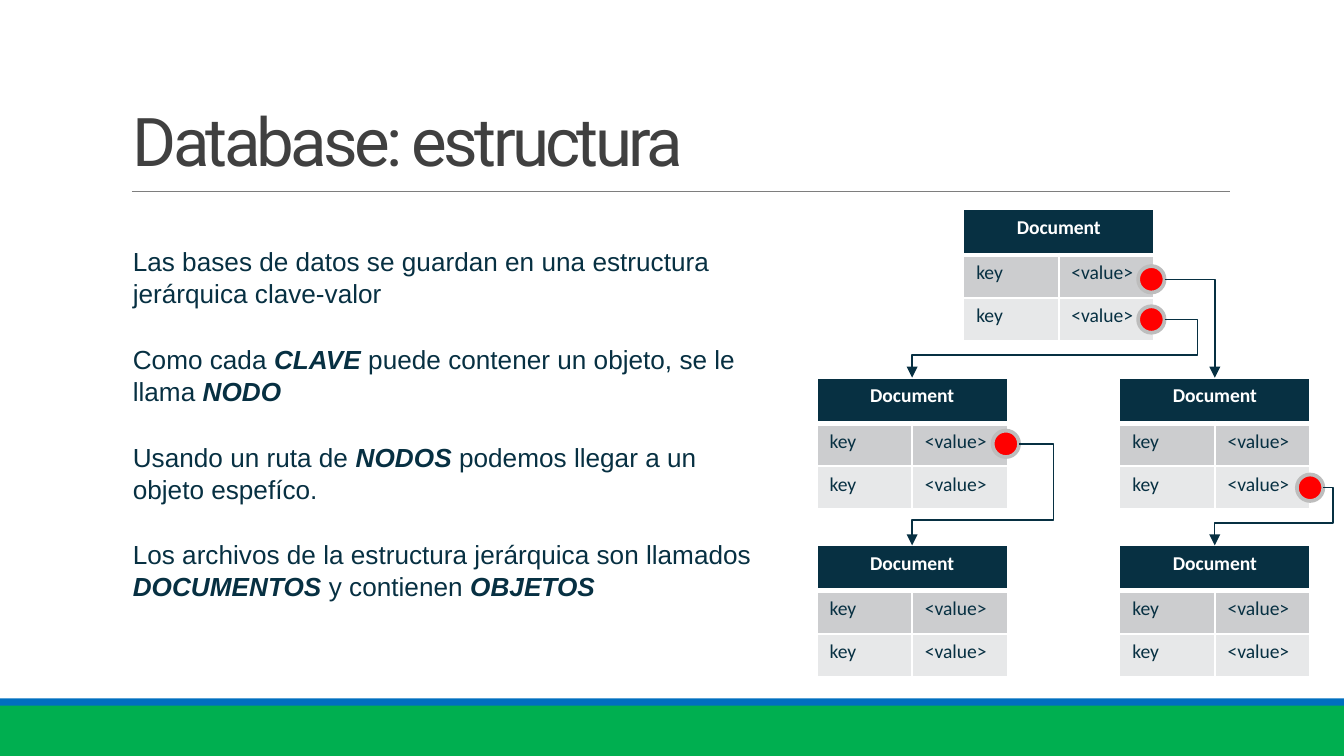
from lxml.etree import SubElement
from pptx import Presentation
from pptx.dml.color import RGBColor
from pptx.enum.shapes import MSO_CONNECTOR, MSO_SHAPE
from pptx.enum.text import MSO_ANCHOR, MSO_AUTO_SIZE, PP_ALIGN
from pptx.oxml.ns import qn
from pptx.util import Cm, Pt

NAVY = RGBColor(0x07, 0x30, 0x42)
WHITE = RGBColor(0xFF, 0xFF, 0xFF)
DARK = RGBColor(0x40, 0x40, 0x40)
RULE = RGBColor(0x7E, 0x7E, 0x7E)
GREEN = RGBColor(0x00, 0xAF, 0x50)
BLUE = RGBColor(0x00, 0x6F, 0xC0)
RED = RGBColor(0xFF, 0x00, 0x00)
RING = RGBColor(0xBD, 0xBD, 0xBD)
GRAY = RGBColor(0xCC, 0xCD, 0xCF)
PALE = RGBColor(0xE7, 0xE8, 0xE9)


def write(para, text, font="Arial", size=14, color=NAVY, bold=False,
          align=PP_ALIGN.LEFT, track=0):
    """Fill a paragraph; parts between asterisks are bold italic."""
    para.alignment = align
    for i, part in enumerate(text.split("*")):
        if part:
            run = para.add_run()
            run.text = part
            run.font.name, run.font.size = font, Pt(size)
            run.font.color.rgb = color
            run.font.bold = bold or i % 2 == 1
            run.font.italic = i % 2 == 1
            if track:
                run.font._element.set("spc", str(track * 100))


def link(start, end, color, width):
    """Add a connector without a shadow between two points in cm."""
    line = slide.shapes.add_connector(
        MSO_CONNECTOR.ELBOW if start[1] != end[1] else MSO_CONNECTOR.STRAIGHT,
        *[Cm(n) for n in (*start, *end)])
    line.line.color.rgb = color
    line.line.width = Pt(width)
    SubElement(line._element.spPr, qn("a:effectLst"))
    return line


deck = Presentation()
deck.slide_width, deck.slide_height = Cm(25.4), Cm(14.29)
slide = deck.slides.add_slide(deck.slide_layouts[1])

# Footer bars and title rule
for top, high, color in [(13.33, 0.96, GREEN), (13.2, 0.14, BLUE)]:
    bar = slide.shapes.add_shape(
        MSO_SHAPE.RECTANGLE, 0, Cm(top), deck.slide_width, Cm(high))
    bar.shadow.inherit = False
    bar.fill.solid()
    bar.fill.fore_color.rgb = color
    bar.line.fill.background()
link((2.49, 3.61), (23.24, 3.61), RULE, 0.48)

# Title and body
title, body = slide.placeholders
for hold, box in [(title, (2.51, 1.85, 11.68, 1.58)),
                  (body, (2.51, 4.6, 12.12, 6.83))]:
    hold.left, hold.top, hold.width, hold.height = [Cm(n) for n in box]
    frame = hold.text_frame
    frame.word_wrap = True
    frame.auto_size = MSO_AUTO_SIZE.NONE
    frame.vertical_anchor = MSO_ANCHOR.TOP
    frame.margin_left = frame.margin_right = frame.margin_bottom = 0
    frame.margin_top = Cm(0.03)
write(title.text_frame.paragraphs[0], "Database: estructura",
      font="Roboto", size=36, color=DARK, track=-2)

points = [
    "Las bases de datos se guardan en una estructura jerárquica clave-valor",
    "Como cada *CLAVE* puede contener un objeto, se le llama *NODO*",
    "Usando un ruta de *NODOS* podemos llegar a un objeto espefíco.",
    "Los archivos de la estructura jerárquica son llamados *DOCUMENTOS*"
    " y contienen *OBJETOS*",
]
frame = body.text_frame
for i, text in enumerate(points):
    para = frame.add_paragraph() if i else frame.paragraphs[0]
    write(para, text)
    para.line_spacing = Pt(17.1)
    para.space_before, para.space_after = Pt(0), Pt(18.2)
    props = para._p.get_or_add_pPr()
    props.set("marL", "0")
    props.set("indent", "0")
    SubElement(props, qn("a:buNone"))

# Document tables
LEFT, RIGHT = 15.44, 21.16
TOPS = [3.96, 7.14, 10.31]
WIDE = 3.6
spots = [(18.21, TOPS[0])] + [(x, y) for y in TOPS[1:] for x in (LEFT, RIGHT)]
fills = [NAVY, GRAY, PALE]
highs = [0.86, 0.81, 0.81]
for x, y in spots:
    table = slide.shapes.add_table(
        3, 2, Cm(x), Cm(y), Cm(WIDE), Cm(sum(highs))).table
    table.horz_banding = False
    for col in table.columns:
        col.width = Cm(WIDE / 2)
    table.cell(0, 0).merge(table.cell(0, 1))
    for r, high in enumerate(highs):
        table.rows[r].height = Cm(high)
        for c, word in enumerate(["key", "<value>"]):
            cell = table.cell(r, c)
            cell.margin_left = cell.margin_right = Cm(0.24)
            cell.margin_top = cell.margin_bottom = Cm(0.12)
            props = cell._tc.get_or_add_tcPr()
            for side in "LRTB":
                thick = 3 if (r, side) in [(0, "B"), (1, "T")] else 1
                edge = SubElement(props, qn("a:ln" + side), w=str(Pt(thick)))
                paint = SubElement(edge, qn("a:solidFill"))
                SubElement(paint, qn("a:srgbClr"), val=str(WHITE))
            cell.fill.solid()
            cell.fill.fore_color.rgb = fills[r]
            para = cell.text_frame.paragraphs[0]
            if r:
                write(para, word, font="Calibri", size=10.5)
            elif c == 0:
                write(para, "Document", font="Calibri", size=10.5,
                      color=WHITE, bold=True, align=PP_ALIGN.CENTER)

# Red dots, each with an arrow to a child document: dot, target, bends
DOT = 0.5
arrows = [
    ((21.51, 5.79), (LEFT, TOPS[1]), (-0.13, 0.61)),
    ((21.51, 5.03), (RIGHT, TOPS[1]), ()),
    ((18.76, 8.14), (LEFT, TOPS[2]), (-0.32, 0.75)),
    ((24.51, 8.97), (RIGHT, TOPS[2]), (-0.09, 0.61)),
]
for (x, y), (left, top), bends in arrows:
    dot = slide.shapes.add_shape(
        MSO_SHAPE.OVAL, Cm(x), Cm(y), Cm(DOT), Cm(DOT))
    dot.shadow.inherit = False
    dot.fill.solid()
    dot.fill.fore_color.rgb = RED
    dot.line.color.rgb = RING
    dot.line.width = Pt(2)
    arrow = link((x + DOT, y + DOT / 2), (left + WIDE / 2, top), NAVY, 0.75)
    SubElement(arrow.line._get_or_add_ln(), qn("a:tailEnd"), type="triangle")
    geom = arrow._element.spPr.find(qn("a:prstGeom"))
    geom.set("prst", "bentConnector4" if bends else "bentConnector2")
    for i, bend in enumerate(bends, 1):
        SubElement(geom.find(qn("a:avLst")), qn("a:gd"), name=f"adj{i}",
                   fmla=f"val {round(bend * 100000)}")

deck.save("out.pptx")
